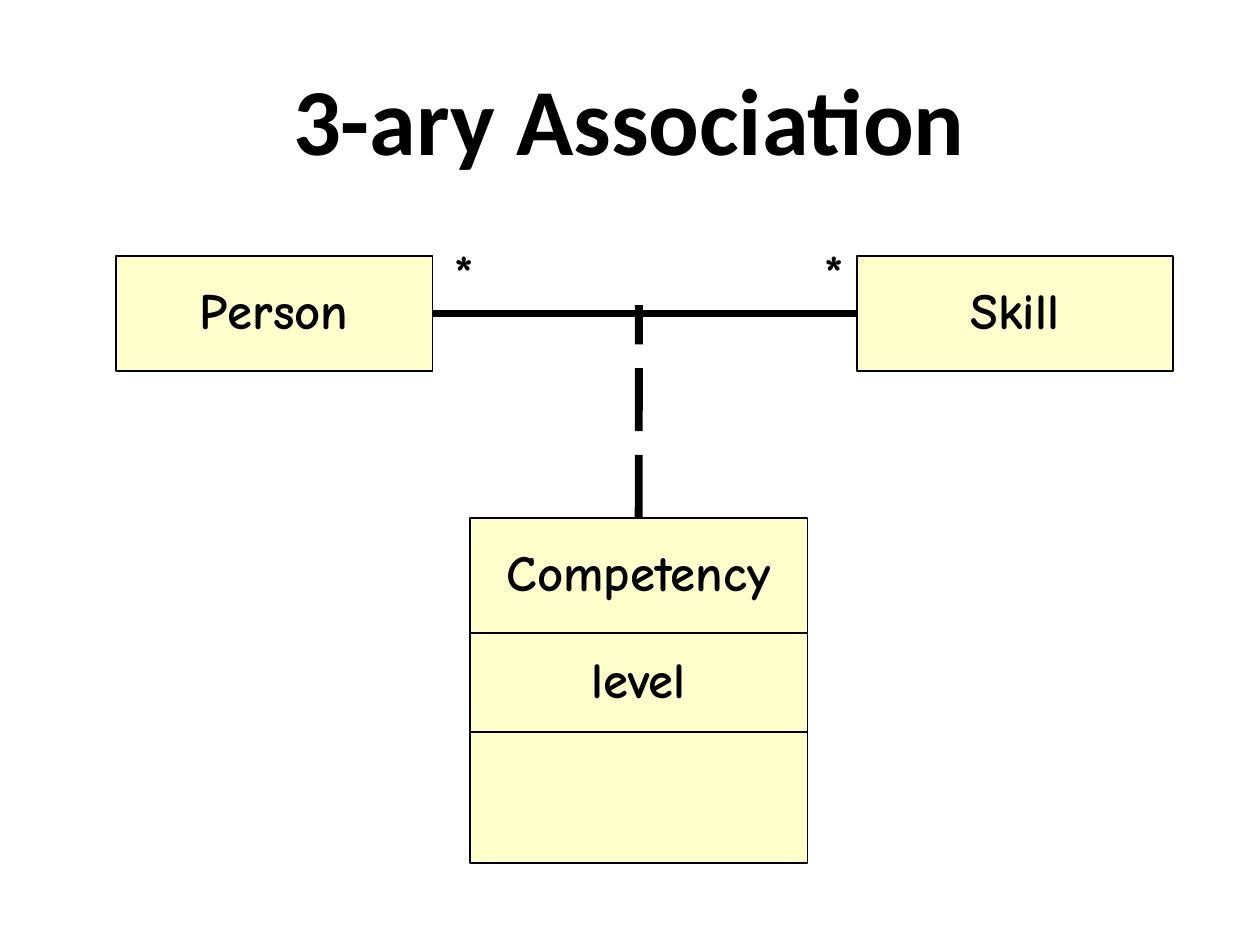
"""Build a slide showing a 3-ary association as a class diagram."""
import pptx
import pptx.dml.color
import pptx.enum.dml
import pptx.enum.shapes
import pptx.enum.text
import pptx.oxml.ns
import pptx.util
from lxml import etree

Cm = pptx.util.Cm
Pt = pptx.util.Pt
ALIGN = pptx.enum.text.PP_ALIGN
MIDDLE = pptx.enum.text.MSO_ANCHOR.MIDDLE


def color(hex_string):
    return pptx.dml.color.RGBColor.from_string(hex_string)


def write(shape, text, font_name, size, spacing, alignment):
    para = shape.text_frame.paragraphs[0]
    para.alignment = alignment
    para.line_spacing = spacing
    span = para.add_run()
    span.text = text
    span.font.name = font_name
    span.font.size = Pt(size)
    span.font.bold = True
    span.font.color.rgb = color("000000")


deck = pptx.Presentation()
deck.slide_width = Cm(25.4)
deck.slide_height = Cm(19.05)
slide = deck.slides.add_slide(deck.slide_layouts[5])

title = slide.shapes.title
title.left, title.top, title.width, title.height = Cm(1.85), Cm(0.91), Cm(21.67), Cm(3.18)
title.text_frame.vertical_anchor = MIDDLE
write(title, "3-ary Association", "Calibri", 54, 0.94, ALIGN.CENTER)

class_boxes = [
    ("Skill", 17.27, 5.16, 6.38, 2.32),
    ("Person", 2.34, 5.16, 6.38, 2.32),
    ("Competency", 9.47, 10.44, 6.81, 2.32),
    ("level", 9.47, 12.76, 6.81, 2.0),
    ("", 9.47, 14.76, 6.81, 2.64),
]
boxes = {}
for name, left, top, width, height in class_boxes:
    box = slide.shapes.add_shape(
        pptx.enum.shapes.MSO_SHAPE.RECTANGLE, Cm(left), Cm(top), Cm(width), Cm(height))
    box.shadow.inherit = False
    box.fill.solid()
    box.fill.fore_color.rgb = color("FFFFCC")
    box.line.color.rgb = color("000000")
    box.line.width = Pt(1)
    if name:
        box.text_frame.word_wrap = False
        box.text_frame.vertical_anchor = MIDDLE
        write(box, name, "Comic Neue", 29, 0.87, ALIGN.CENTER)
    boxes[name] = box

straight = pptx.enum.shapes.MSO_CONNECTOR.STRAIGHT
association = slide.shapes.add_connector(straight, Cm(8.72), Cm(6.32), Cm(17.27), Cm(6.32))
association.begin_connect(boxes["Person"], 3)
association.end_connect(boxes["Skill"], 1)
class_link = slide.shapes.add_connector(straight, Cm(12.88), Cm(10.44), Cm(12.88), Cm(6.15))
class_link.begin_connect(boxes["Competency"], 0)
class_link.line.dash_style = pptx.enum.dml.MSO_LINE.LONG_DASH
for connector in (association, class_link):
    connector.line.color.rgb = color("000000")
    connector.line.width = Pt(4.5)
    etree.SubElement(connector.element.spPr, pptx.oxml.ns.qn("a:effectLst"))

for left in (8.92, 16.38):
    multiplicity = slide.shapes.add_textbox(Cm(left), Cm(4.9), Cm(1.04), Cm(1.35))
    multiplicity.text_frame.word_wrap = False
    multiplicity.text_frame.auto_size = pptx.enum.text.MSO_AUTO_SIZE.SHAPE_TO_FIT_TEXT
    write(multiplicity, "*", "Comic Neue", 29, 0.87, ALIGN.LEFT)

deck.save("out.pptx")
